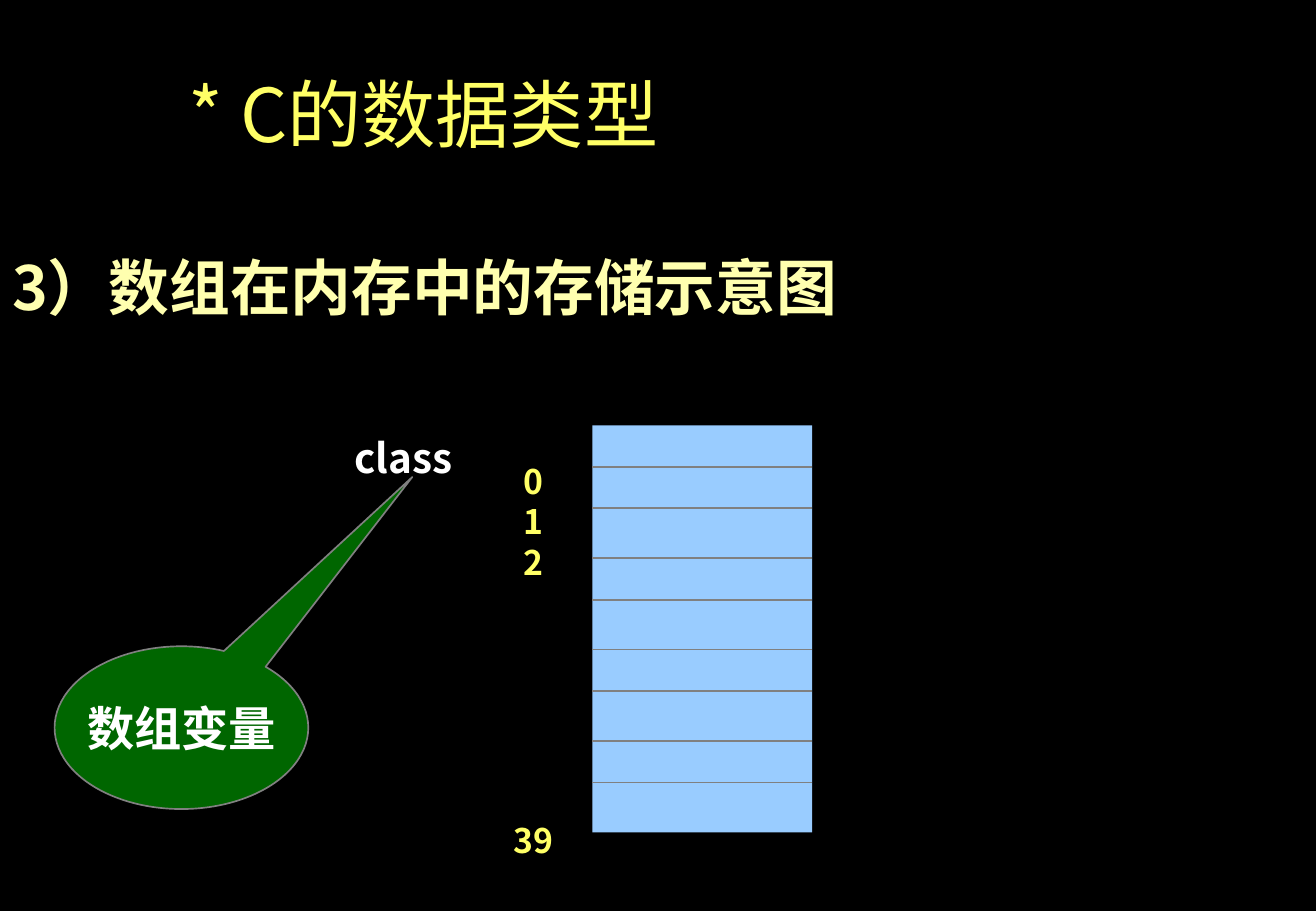
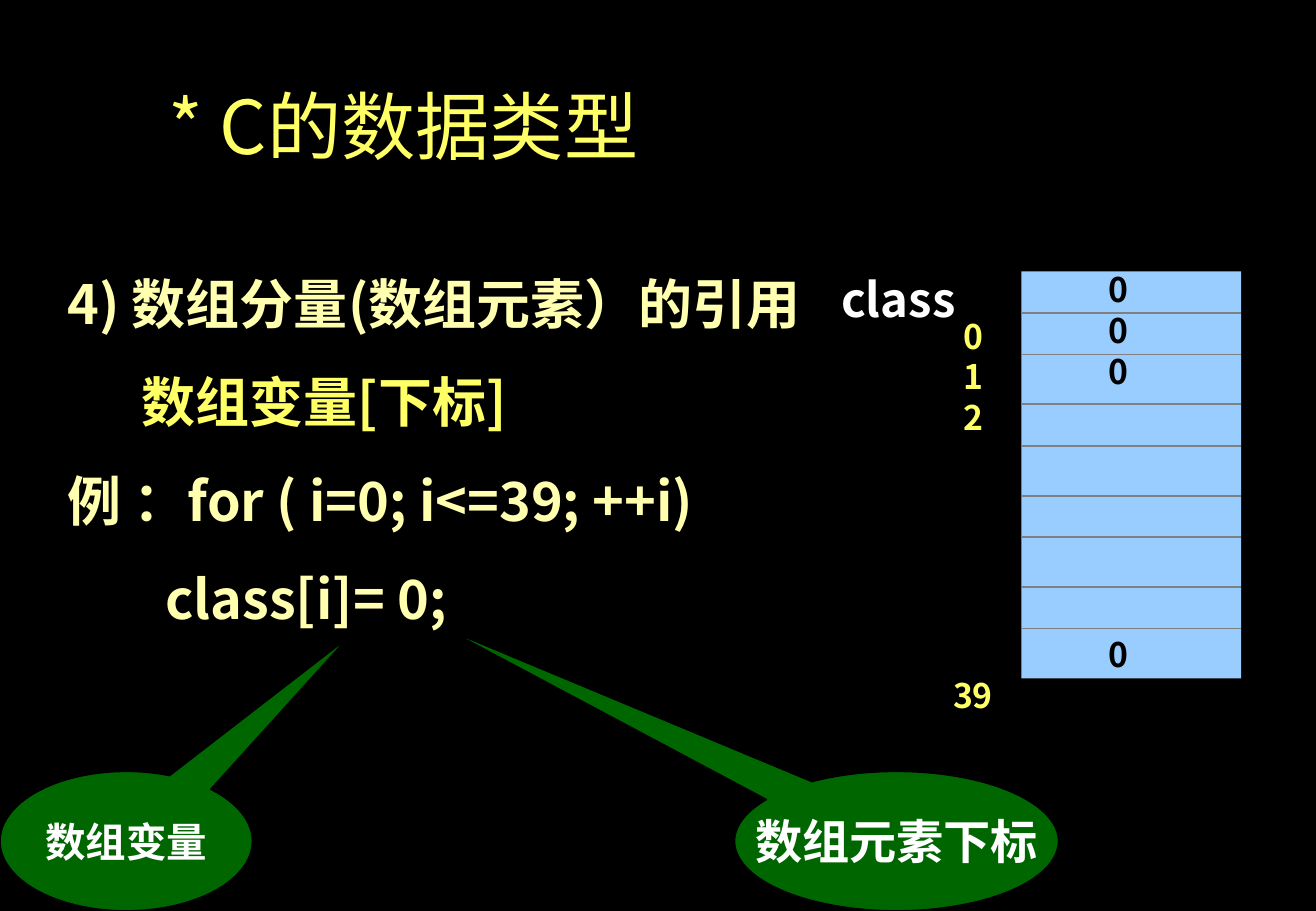
import pptx
import pptx.util
import pptx.dml.color
import pptx.enum.shapes
import pptx.enum.text
import pptx.oxml.ns
from lxml import etree

Pt = pptx.util.Pt
ALIGN = pptx.enum.text.PP_ALIGN
ANCHOR = pptx.enum.text.MSO_ANCHOR
SHAPE = pptx.enum.shapes.MSO_SHAPE
qn = pptx.oxml.ns.qn

FONT = "Noto Sans CJK SC"
COLORS = {
    "back": "000000",
    "title": "FFFF66",
    "body": "FFFFAF",
    "white": "FFFFFF",
    "black": "000000",
    "cell": "99CCFF",
    "line": "808080",
    "call": "006600",
}
TITLE = "* C的数据类型"
GRID = 100  # columns and rows on a slide
LEAD = 1.2  # line height as a share of the text size
CELLS = [4.55] + [4.55, 5.48] * 4  # cell heights in rows
CELL_WIDE = 16.7  # in columns
MARKS = (6.18, 45)  # columns and rows of a stack of marks


def rgb(name):
    return pptx.dml.color.RGBColor.from_string(COLORS[name])


class Deck:
    """The shared style and the slide being drawn."""

    def __init__(self):
        self.file = pptx.Presentation()
        self.file.slide_width = pptx.util.Inches(10.84)
        self.file.slide_height = pptx.util.Inches(7.5)
        fill = self.file.slide_master.background.fill
        fill.solid()
        fill.fore_color.rgb = rgb("back")
        self.slide = None

    def place(self, *cells):
        """Turn columns and rows (x, y, x, y) into lengths."""
        sides = (self.file.slide_width, self.file.slide_height) * 2
        return [round(n * side / GRID) for n, side in zip(cells, sides)]

    def para(self, frame, text, size, color, bold=True, align=ALIGN.LEFT,
             gap=0, inset=0):
        """Add a paragraph; gap is space before, inset a left margin, in points."""
        p = frame.add_paragraph() if frame.text else frame.paragraphs[0]
        p.text = text
        props = p._p.get_or_add_pPr()
        props.set("marL", str(Pt(inset)))
        props.set("indent", "0")
        etree.SubElement(props, qn("a:buNone"))
        p.alignment = align
        p.line_spacing = Pt(size * LEAD)
        p.space_before = Pt(gap)
        font = p.font
        font.name, font.size, font.bold = FONT, Pt(size), bold
        font.color.rgb = rgb(color)
        east = etree.SubElement(props.find(qn("a:defRPr")), qn("a:ea"))
        east.set("typeface", FONT)

    def fit(self, holder, at):
        """Move a placeholder and return its text frame."""
        holder.left, holder.top, holder.width, holder.height = self.place(*at)
        holder.text_frame.auto_size = pptx.enum.text.MSO_AUTO_SIZE.NONE
        return holder.text_frame

    def start(self, at):
        """Begin a slide with the shared title."""
        self.slide = self.file.slides.add_slide(self.file.slide_layouts[1])
        frame = self.fit(self.slide.shapes.title, at)
        frame.vertical_anchor = ANCHOR.MIDDLE
        self.para(frame, TITLE, 44, "title", False, ALIGN.CENTER)

    def body(self, lines, size, at, gap=0):
        """Fill the body with lines of (text, color, inset)."""
        frame = self.fit(self.slide.placeholders[1], at)
        for row, (text, color, inset) in enumerate(lines):
            self.para(frame, text, size, color,
                      gap=gap if row else 0, inset=inset)

    def box(self, at):
        frame = self.slide.shapes.add_textbox(*self.place(*at)).text_frame
        frame.word_wrap = True
        return frame

    def label(self, text, size, at):
        self.para(self.box(at), text, size, "white")

    def shape(self, kind, at, fill, line=None):
        shape = self.slide.shapes.add_shape(kind, *self.place(*at))
        shape.shadow.inherit = False
        shape.fill.solid()
        shape.fill.fore_color.rgb = rgb(fill)
        if line:
            shape.line.color.rgb = rgb(line)
            shape.line.width = Pt(1)
        else:
            shape.line.fill.background()
        return shape

    def rule(self, left, top, width):
        ends = self.place(left, top, left + width, top)
        kind = pptx.enum.shapes.MSO_CONNECTOR.STRAIGHT
        rule = self.slide.shapes.add_connector(kind, *ends)
        rule.line.color.rgb = rgb("line")
        rule.line.width = Pt(1)
        etree.SubElement(rule._element.spPr, qn("a:effectLst"))

    def store(self, left, top):
        """Draw the memory block with its cell borders."""
        self.shape(SHAPE.RECTANGLE, (left, top, CELL_WIDE, sum(CELLS)), "cell")
        for high in CELLS[:-1]:
            top += high
            self.rule(left, top, CELL_WIDE)

    def stack(self, marks, left, top, color, align, jump):
        """Stack marks, with a jump in points before the last one."""
        frame = self.box((left, top, *MARKS))
        last = len(marks) - 1
        for row, mark in enumerate(marks):
            self.para(frame, mark, 20, color, align=align,
                      gap=jump if row == last else 0)

    def index(self, left, top):
        """Number the cells of the memory block."""
        marks = ["0", "1", "2", "39"]
        self.stack(marks, left, top, "title", ALIGN.CENTER, 141)

    def values(self, left, top):
        """Write the zeros held by the cells."""
        self.stack(["0"] * 4, left, top, "black", ALIGN.LEFT, 144)

    def call(self, text, size, at, tip, line):
        """Draw a callout; tip is its offset in shares of the oval's size."""
        shape = self.shape(SHAPE.OVAL_CALLOUT, at, "call", line)
        shape.adjustments[0], shape.adjustments[1] = tip
        frame = shape.text_frame
        frame.word_wrap = False
        frame.vertical_anchor = ANCHOR.MIDDLE
        self.para(frame, text, size, "white", align=ALIGN.CENTER)


def draw_layout(deck):
    """Show how an array lies in memory."""
    deck.start((7.66, 5.47, 49.08, 13.73))
    deck.body([("3）数组在内存中的存储示意图", "body", 0)], 36,
              (0, 26.8, 80.72, 9.33))
    deck.store(45.02, 46.7)
    deck.index(37.42, 49.9)
    deck.label("class", 24, (26.01, 46.9, 11.53, 6.67))
    deck.call("数组变量", 28, (4.15, 70.95, 19.28, 17.87),
              (0.91, -1.54), "line")


def draw_access(deck):
    """Show how array elements are referred to."""
    deck.start((6.92, 6.67, 47.51, 14))
    lines = [
        ("4) 数组分量(数组元素）的引用", "body", 0),
        ("数组变量[下标]", "title", 44),
        ("例 ：for ( i=0; i<=39; ++i)", "body", 0),
        ("class[i]= 0;", "body", 58),
    ]
    deck.body(lines, 32, (4.2, 29, 68.45, 40.93), gap=20)
    deck.label("class", 28, (63.01, 29.07, 11.53, 7.6))
    deck.store(77.62, 29.8)
    deck.index(70.85, 33.95)
    deck.values(83.3, 28.9)
    deck.call("数组变量", 24, (0, 84.67, 19.19, 15.33),
              (0.88, -1.46), "black")
    deck.call("数组元素下标", 28, (55.81, 84.67, 24.63, 15.33),
              (-1.39, -1.52), "black")


def main():
    deck = Deck()
    draw_layout(deck)
    draw_access(deck)
    deck.file.save("out.pptx")


if __name__ == "__main__":
    main()
